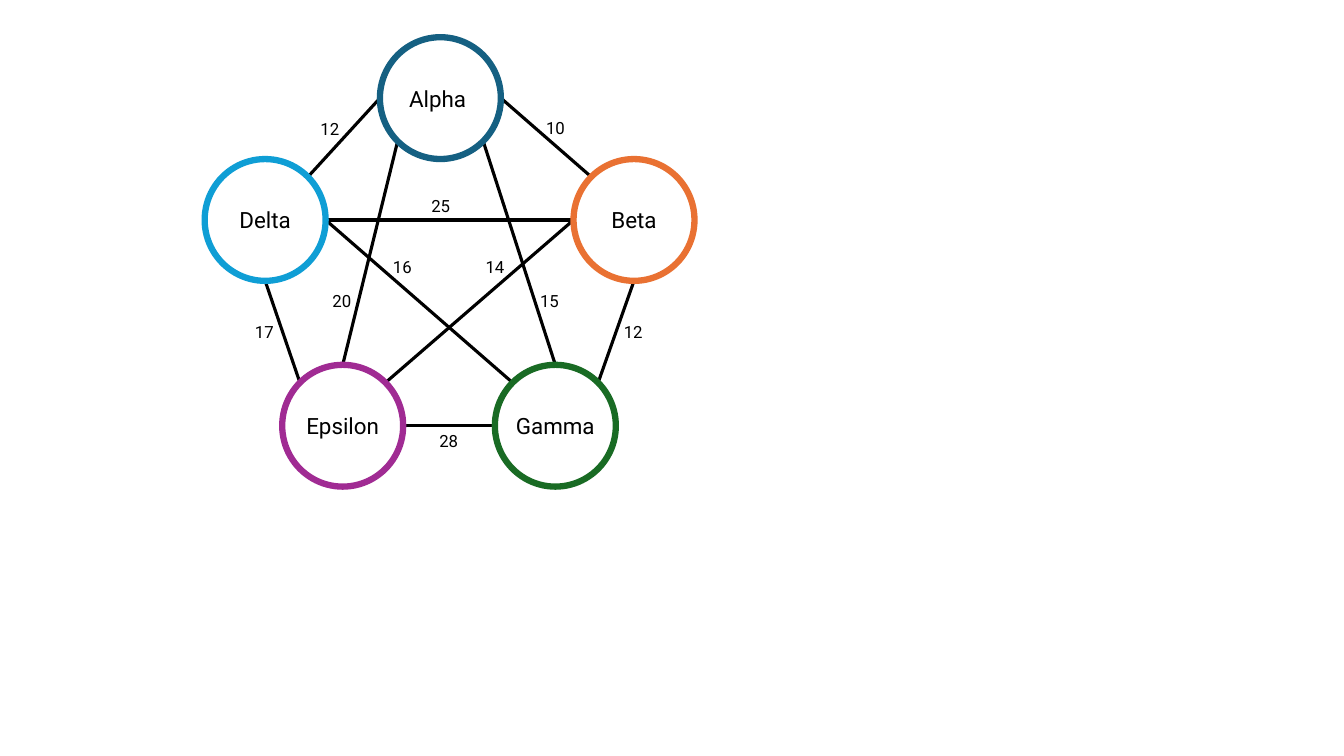
from math import sqrt

from lxml import etree
from pptx import Presentation
from pptx import util as u
from pptx.dml.color import RGBColor
from pptx.enum import shapes, text
from pptx.oxml.ns import qn

Pt = u.Pt
FONT = "Roboto"
COLORS = {
    "ink": "000000", "paper": "FFFFFF", "blue": "156082", "orange": "E97132",
    "green": "196B24", "purple": "A02B93", "sky": "0F9ED5",
}

# Nodes: name -> (label, left, top, ring colour)
NODE_W, NODE_H = 86.4, 87
TOP_ROW, MIDDLE_ROW, BOTTOM_ROW = 26.6, 113.6, 260.6
NODES = {
    "Alpha": ("Alpha ", 271.4, TOP_ROW, "blue"),
    "Beta": ("Beta", 409.7, MIDDLE_ROW, "orange"),
    "Gamma": ("Gamma", 353.5, BOTTOM_ROW, "green"),
    "Epsilon": ("Epsilon", 201.6, BOTTOM_ROW, "purple"),
    "Delta": ("Delta", 146.2, MIDDLE_ROW, "sky"),
}

# Edges: start node, side, end node, side, weight, left and top of the weight
EDGES = [
    ("Delta", "NE", "Alpha", "W", "12", 221.8, 81.2),
    ("Beta", "NW", "Alpha", "E", "10", 383, 80.7),
    ("Beta", "S", "Gamma", "NE", "12", 438.5, 226.1),
    ("Delta", "S", "Epsilon", "NW", "17", 175, 226.1),
    ("Epsilon", "E", "Gamma", "W", "28", 306.7, 303.8),
    ("Epsilon", "N", "Alpha", "SW", "20", 230.4, 204.5),
    ("Gamma", "N", "Alpha", "SE", "15", 378.7, 204.5),
    ("Beta", "W", "Delta", "E", "25", 301, 136.1),
    ("Gamma", "NW", "Delta", "E", "16", 273.6, 180),
    ("Beta", "W", "Epsilon", "NE", "14", 339.8, 180),
]
WEIGHT_W, WEIGHT_H = 28.4, 21.6


def color(name):
    return RGBColor.from_string(COLORS[name])


def rim_point(node, side):
    """Point on the rim of a node in a compass direction."""
    _, left, top, _ = NODES[node]
    dx = ("E" in side) - ("W" in side)
    dy = ("S" in side) - ("N" in side)
    reach = sqrt(dx * dx + dy * dy)
    return (Pt(left + NODE_W / 2 * (1 + dx / reach)),
            Pt(top + NODE_H / 2 * (1 + dy / reach)))


def write(shape, words, size, align, wrap):
    shape.text_frame.word_wrap = wrap
    para = shape.text_frame.paragraphs[0]
    para.alignment = align
    span = para.add_run()
    span.text = words
    span.font.name, span.font.size = FONT, Pt(size)
    span.font.color.rgb = color("ink")


deck = Presentation()
deck.slide_width, deck.slide_height = Pt(960), Pt(540)
page = deck.slides.add_slide(deck.slide_layouts[6])

# Edge lines, behind the nodes
for start, start_side, end, end_side, *_ in EDGES:
    edge = page.shapes.add_connector(
        shapes.MSO_CONNECTOR.STRAIGHT,
        *rim_point(start, start_side), *rim_point(end, end_side))
    edge.line.color.rgb = color("ink")
    edge.line.width = Pt(2.25)
    etree.SubElement(edge._element.spPr, qn("a:effectLst"))

# Node circles
for label, left, top, ring in NODES.values():
    node = page.shapes.add_shape(
        shapes.MSO_SHAPE.OVAL, Pt(left), Pt(top), Pt(NODE_W), Pt(NODE_H))
    node.shadow.inherit = False
    node.fill.solid()
    node.fill.fore_color.rgb = color("paper")
    node.line.color.rgb = color(ring)
    node.line.width = Pt(4.5)
    node.text_frame.vertical_anchor = text.MSO_ANCHOR.MIDDLE
    write(node, label, 16, text.PP_ALIGN.CENTER, False)

# Edge weights
for *_, weight, left, top in EDGES:
    box = page.shapes.add_textbox(Pt(left), Pt(top), Pt(WEIGHT_W), Pt(WEIGHT_H))
    box.text_frame.auto_size = text.MSO_AUTO_SIZE.SHAPE_TO_FIT_TEXT
    write(box, weight, 12, text.PP_ALIGN.LEFT, True)

deck.save("out.pptx")
